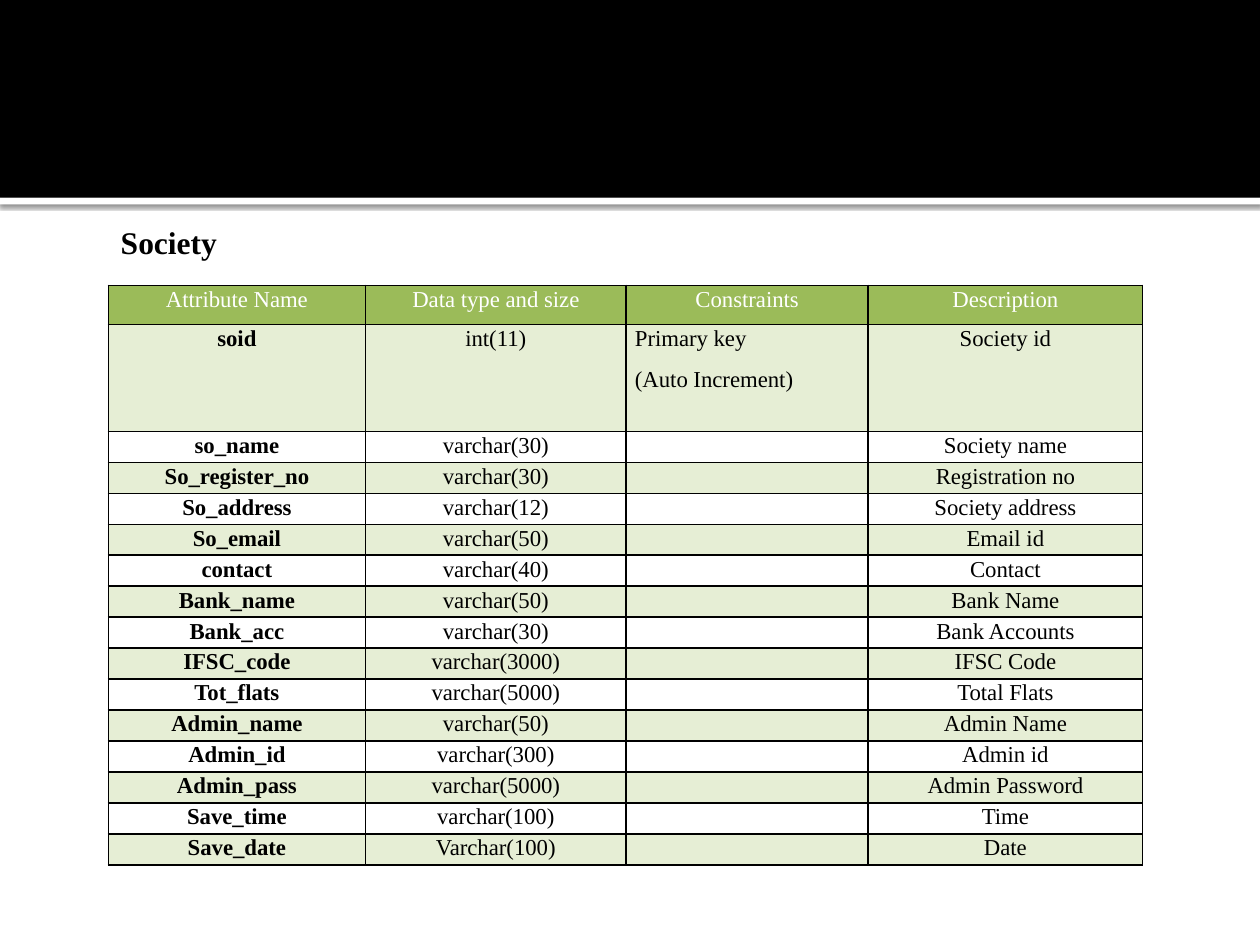
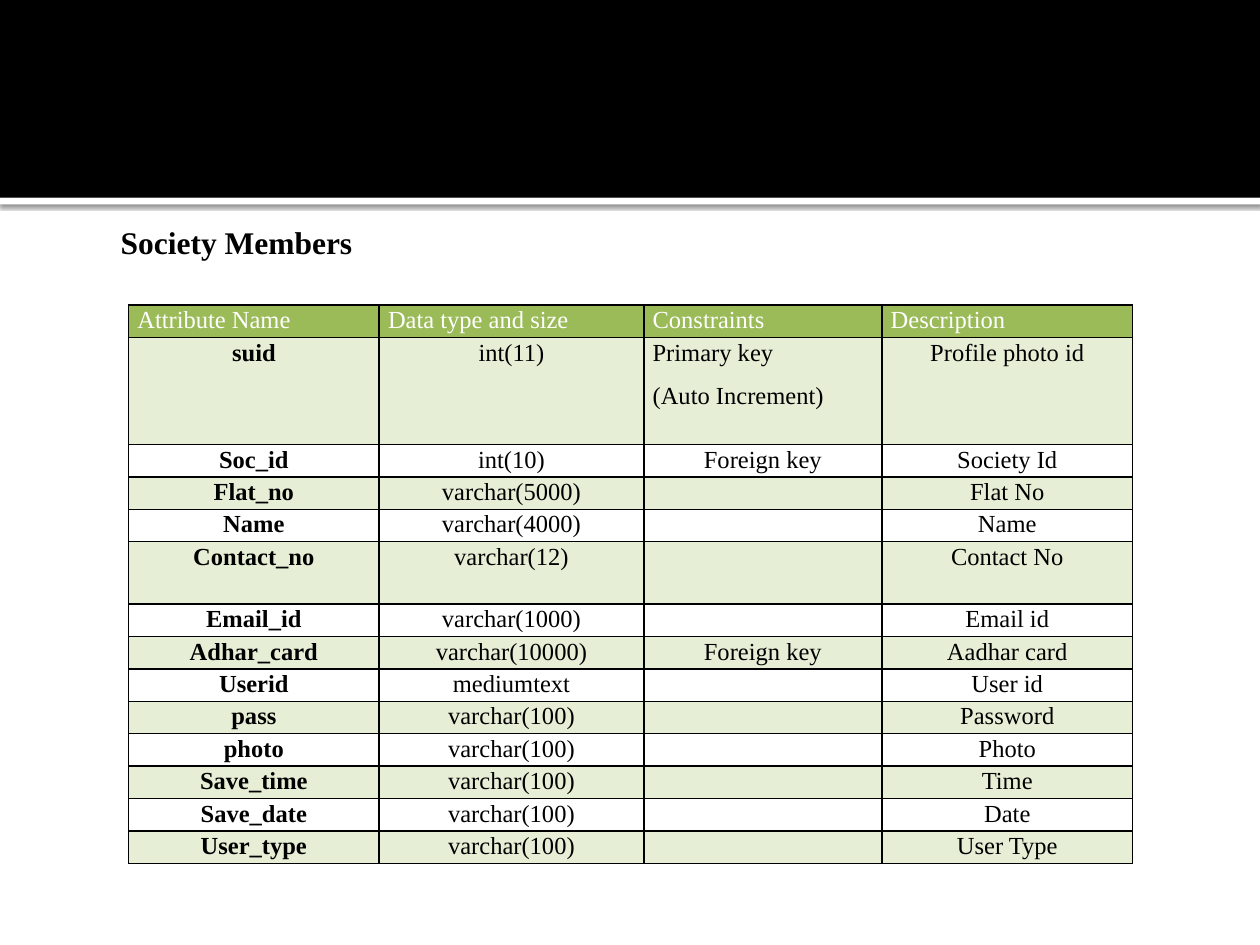
import pptx
import pptx.util
import pptx.dml.color
import pptx.enum.shapes
import pptx.enum.text
import pptx.oxml
import pptx.oxml.ns
import lxml.etree

Pt = pptx.util.Pt
RGB = pptx.dml.color.RGBColor.from_string
PP = pptx.enum.text.PP_ALIGN
qn = pptx.oxml.ns.qn
NS = pptx.oxml.ns.nsdecls("a")

C = {"black": "000000", "white": "FFFFFF", "header": "9BBB59", "stripe": "E6EED5"}
FONT = "Times New Roman"
HEADER = ("Attribute Name", "Data type and size", "Constraints", "Description")
KEY = "Primary key\n(Auto Increment)"

prs = pptx.Presentation()
prs.slide_width = pptx.util.Inches(10)
prs.slide_height = pptx.util.Inches(7.5)


def box(left, top, width, height):
    pairs = zip((left, top, width, height), (prs.slide_width, prs.slide_height) * 2)
    return [int(side * percent / 100) for percent, side in pairs]


def write(p, text, size, color, bold):
    r = p.add_run()
    r.text = text
    for name, value in {"name": FONT, "size": Pt(size), "bold": bold}.items():
        setattr(r.font, name, value)
    r.font.color.rgb = RGB(C[color])


bands = [("white", (0, 20.93, 100, 0.7)), ("black", (0, 0, 100, 20.93))]

slides = [
    {
        "title": "Society",
        "title_width": 17.2,
        "left": 8.6,
        "top": 30.21,
        "cols": (20.4, 20.7, 19.2, 21.8),
        "row": 3.28,
        "tall_rows": {0: 4.13, 1: 11.32},
        "size": 13,
        "header_align": PP.CENTER,
        "rows": [
            ("soid", "int(11)", KEY, "Society id"),
            ("so_name", "varchar(30)", "", "Society name"),
            ("So_register_no", "varchar(30)", "", "Registration no"),
            ("So_address", "varchar(12)", "", "Society address"),
            ("So_email", "varchar(50)", "", "Email id"),
            ("contact", "varchar(40)", "", "Contact"),
            ("Bank_name", "varchar(50)", "", "Bank Name"),
            ("Bank_acc", "varchar(30)", "", "Bank Accounts"),
            ("IFSC_code", "varchar(3000)", "", "IFSC Code"),
            ("Tot_flats", "varchar(5000)", "", "Total Flats"),
            ("Admin_name", "varchar(50)", "", "Admin Name"),
            ("Admin_id", "varchar(300)", "", "Admin id"),
            ("Admin_pass", "varchar(5000)", "", "Admin Password"),
            ("Save_time", "varchar(100)", "", "Time"),
            ("Save_date", "Varchar(100)", "", "Date"),
        ],
    },
    {
        "title": "Society Members",
        "title_width": 25,
        "left": 10.2,
        "top": 32.28,
        "cols": (19.9, 21, 18.9, 19.9),
        "row": 3.43,
        "tall_rows": {1: 11.33, 5: 6.61},
        "size": 14,
        "header_align": PP.LEFT,
        "rows": [
            ("suid", "int(11)", KEY, "Profile photo id"),
            ("Soc_id", "int(10)", "Foreign key", "Society Id"),
            ("Flat_no", "varchar(5000)", "", "Flat No"),
            ("Name", "varchar(4000)", "", "Name"),
            ("Contact_no", "varchar(12)", "", "Contact No"),
            ("Email_id", "varchar(1000)", "", "Email id"),
            ("Adhar_card", "varchar(10000)", "Foreign key", "Aadhar card"),
            ("Userid", "mediumtext", "", "User id"),
            ("pass", "varchar(100)", "", "Password"),
            ("photo", "varchar(100)", "", "Photo"),
            ("Save_time", "varchar(100)", "", "Time"),
            ("Save_date", "varchar(100)", "", "Date"),
            ("User_type", "varchar(100)", "", "User Type"),
        ],
    },
]

for d in slides:
    s = prs.slides.add_slide(prs.slide_layouts[6])

    for color, place in bands:
        sp = s.shapes.add_shape(pptx.enum.shapes.MSO_SHAPE.RECTANGLE, *box(*place))
        sp.shadow.inherit = False
        sp.fill.solid()
        sp.fill.fore_color.rgb = RGB(C[color])
        sp.line.fill.background()
        if color == "white":
            sp._element.spPr.find(qn("a:effectLst")).append(pptx.oxml.parse_xml(
                f'<a:outerShdw {NS} blurRad="{Pt(2.5)}" dist="{Pt(0.8)}" dir="5400000" rotWithShape="0">'
                f'<a:srgbClr val="{C["black"]}"><a:alpha val="60000"/></a:srgbClr></a:outerShdw>'))

    tf = s.shapes.add_textbox(*box(8.6, 22.93, d["title_width"], 5.33)).text_frame
    tf.word_wrap = True
    tf.auto_size = pptx.enum.text.MSO_AUTO_SIZE.SHAPE_TO_FIT_TEXT
    write(tf.paragraphs[0], d["title"], 18, "black", True)

    rows = [HEADER] + d["rows"]
    heights = [d["tall_rows"].get(i, d["row"]) for i in range(len(rows))]
    place = box(d["left"], d["top"], sum(d["cols"]), sum(heights))
    table = s.shapes.add_table(len(rows), len(HEADER), *place).table
    for column, width in zip(table.columns, d["cols"]):
        column.width = int(prs.slide_width * width / 100)
    for row, height in zip(table.rows, heights):
        row.height = int(prs.slide_height * height / 100)

    for i, texts in enumerate(rows):
        fill = "header" if i == 0 else "stripe" if i % 2 else "white"
        for j, text in enumerate(texts):
            cell = table.cell(i, j)
            margin = pptx.util.Inches(0.07)
            for name, value in {"left": margin, "top": 0, "right": margin, "bottom": 0}.items():
                setattr(cell, f"margin_{name}", value)
            tcPr = cell._tc.get_or_add_tcPr()
            for side in ("L", "R", "T", "B"):
                tcPr.append(pptx.oxml.parse_xml(
                    f'<a:ln{side} {NS} w="{Pt(1)}"><a:solidFill><a:srgbClr val="{C["black"]}"/>'
                    f'</a:solidFill></a:ln{side}>'))
            cell.fill.solid()
            cell.fill.fore_color.rgb = RGB(C[fill])

            align = d["header_align"] if i == 0 else PP.LEFT if text == KEY else PP.CENTER
            style = {"alignment": align, "line_spacing": 1.07, "space_after": Pt(8)}
            for k, line in enumerate(text.split("\n")):
                p = cell.text_frame.add_paragraph() if k else cell.text_frame.paragraphs[0]
                if not line:
                    lxml.etree.SubElement(p._p, qn("a:endParaRPr"), sz=str(d["size"] * 100))
                    continue
                for name, value in style.items():
                    setattr(p, name, value)
                write(p, line, d["size"], "black" if i else "white", i > 0 and j == 0)

prs.save("out.pptx")
